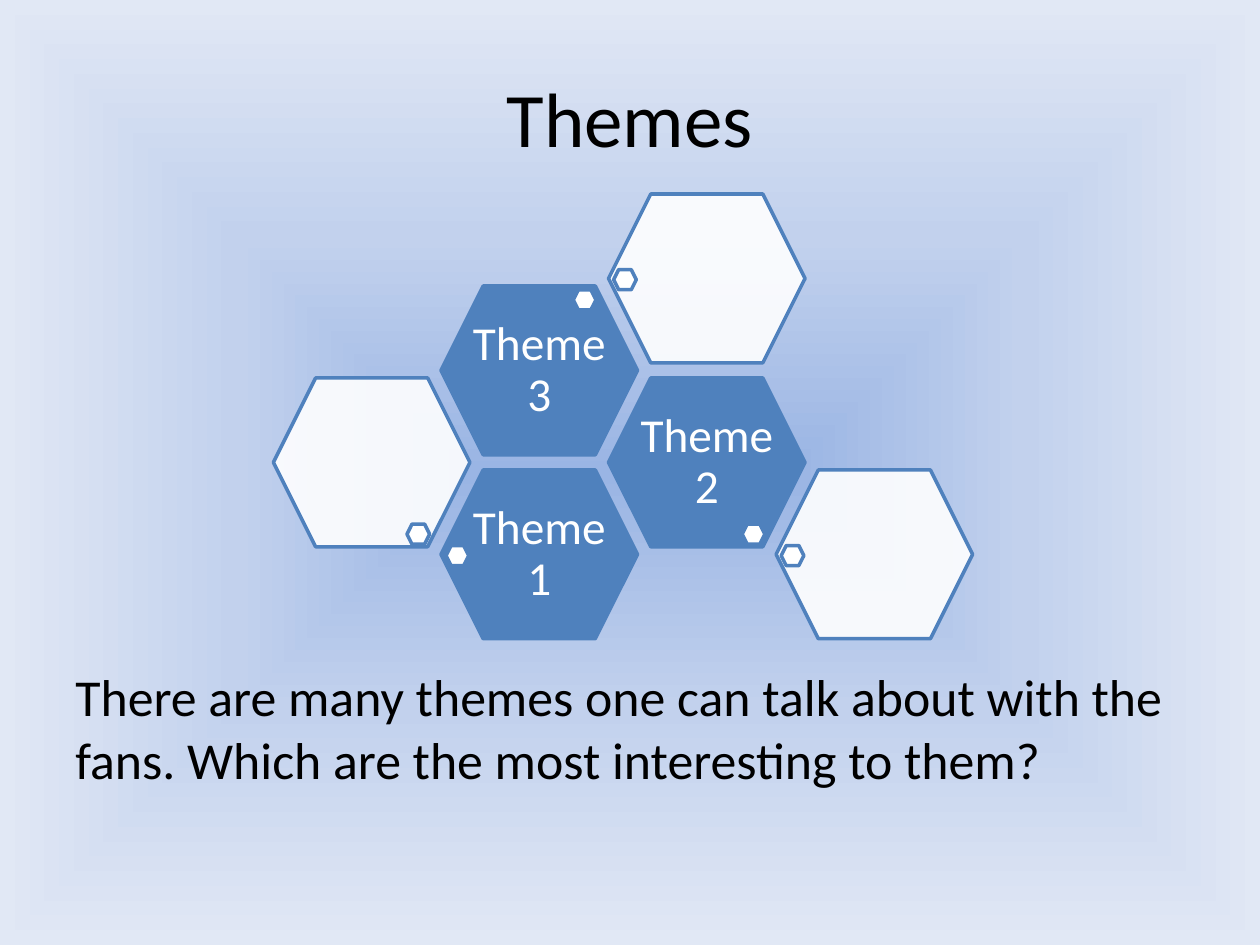
import pptx
import pptx.dml.color
import pptx.enum.shapes
import pptx.enum.text
import pptx.oxml
import pptx.oxml.ns
import pptx.util

RGBColor = pptx.dml.color.RGBColor
BLUE = RGBColor(0x4F, 0x81, 0xBD)
WHITE = RGBColor(0xFF, 0xFF, 0xFF)
BLACK = RGBColor(0x00, 0x00, 0x00)
BACKGROUND_STOPS = [
    (0, RGBColor(0x9A, 0xB5, 0xE4)),
    (50, RGBColor(0xC2, 0xD1, 0xED)),
    (100, RGBColor(0xE1, 0xE8, 0xF5)),
]

SLIDE_W, SLIDE_H = 10, 7.5
# Honeycomb: columns are one pitch apart, rows half a hexagon apart.
COMB_LEFT, COMB_TOP = 2.17, 1.54
COL_PITCH, ROW_PITCH = 1.33, 0.73
HEX_W, HEX_H = 1.56, 1.34
LABEL_W, LABEL_H = 1.07, 0.93
DOT_W, DOT_H = 0.18, 0.16
DOT_SITES = {"left": (0.04, 0.6), "top": (1.05, 0.03), "bottom": (1.06, 1.16)}

# column, row, label, site of the small hexagon
CELLS = [
    (1, 3, "Theme 1", "left"),
    (0, 2, None, "bottom"),
    (2, 2, "Theme 2", "bottom"),
    (3, 3, None, "left"),
    (1, 1, "Theme 3", "top"),
    (2, 0, None, "left"),
]


class ThemeSlide:
    font = "Calibri"
    line_width = pptx.util.Pt(2)

    def __init__(self, prs):
        self.s = prs.slides.add_slide(prs.slide_layouts[5])
        self.comb = None

    def box(self, x, y, w, h):
        return [pptx.util.Inches(v) for v in (x, y, w, h)]

    def background(self, stops):
        """Fill the slide with a gradient that spreads from its centre."""
        gs = "".join(f'<a:gs pos="{pos * 1000}"><a:srgbClr val="{color}"/></a:gs>'
                     for pos, color in stops)
        bg = pptx.oxml.parse_xml(
            f'<p:bg {pptx.oxml.ns.nsdecls("p", "a")}><p:bgPr>'
            f'<a:gradFill rotWithShape="1"><a:gsLst>{gs}</a:gsLst><a:path path="shape">'
            '<a:fillToRect l="50000" t="50000" r="50000" b="50000"/></a:path></a:gradFill>'
            '<a:effectLst/></p:bgPr></p:bg>')
        self.s.element.cSld.insert(0, bg)

    def set_text(self, sp, text, size, color, align, anchor):
        tf = sp.text_frame
        tf.text = text
        tf.word_wrap = True
        tf.vertical_anchor = anchor
        p = tf.paragraphs[0]
        p.alignment = align
        font = p.runs[0].font
        font.name, font.size = self.font, pptx.util.Pt(size)
        font.color.rgb = color
        return tf

    def title(self, text, x, y, w, h):
        sp = self.s.shapes.title
        sp.left, sp.top, sp.width, sp.height = self.box(x, y, w, h)
        self.set_text(sp, text, 44, BLACK, pptx.enum.text.PP_ALIGN.CENTER,
                      pptx.enum.text.MSO_ANCHOR.MIDDLE)

    def body(self, text, x, y, w, h):
        sp = self.s.shapes.add_textbox(*self.box(x, y, w, h))
        tf = self.set_text(sp, text, 29.6, BLACK, pptx.enum.text.PP_ALIGN.LEFT,
                           pptx.enum.text.MSO_ANCHOR.TOP)
        tf.paragraphs[0].space_before = pptx.util.Pt(6)

    def hexagon(self, x, y, w, h, fill, opacity=100):
        sp = self.comb.shapes.add_shape(pptx.enum.shapes.MSO_SHAPE.HEXAGON,
                                        *self.box(x, y, w, h))
        sp.adjustments[0] = 0.25
        sp.shadow.inherit = False
        sp.fill.solid()
        sp.fill.fore_color.rgb = fill
        sp.line.color.rgb = BLUE
        sp.line.width = self.line_width
        if opacity < 100:
            color = sp.element.spPr.find(
                f'{pptx.oxml.ns.qn("a:solidFill")}/{pptx.oxml.ns.qn("a:srgbClr")}')
            alpha = color.makeelement(pptx.oxml.ns.qn("a:alpha"),
                                      {"val": str(opacity * 1000)})
            color.append(alpha)

    def label(self, text, x, y, w, h):
        sp = self.comb.shapes.add_textbox(*self.box(x, y, w, h))
        tf = self.set_text(sp, text, 27, WHITE, pptx.enum.text.PP_ALIGN.CENTER,
                           pptx.enum.text.MSO_ANCHOR.MIDDLE)
        tf.margin_left = tf.margin_right = 0
        tf.margin_top = tf.margin_bottom = pptx.util.Inches(0.04)
        tf.paragraphs[0].line_spacing = 0.9

    def honeycomb(self, cells):
        self.comb = self.s.shapes.add_group_shape()
        for col, row, text, site in cells:
            x, y = COMB_LEFT + col * COL_PITCH, COMB_TOP + row * ROW_PITCH
            if text:
                self.hexagon(x, y, HEX_W, HEX_H, BLUE)
                self.label(text, x + (HEX_W - LABEL_W) / 2, y + (HEX_H - LABEL_H) / 2,
                           LABEL_W, LABEL_H)
            else:
                self.hexagon(x, y, HEX_W, HEX_H, WHITE, opacity=90)
            dx, dy = DOT_SITES[site]
            self.hexagon(x + dx, y + dy, DOT_W, DOT_H, WHITE)


def main():
    prs = pptx.Presentation()
    prs.slide_width = pptx.util.Inches(SLIDE_W)
    prs.slide_height = pptx.util.Inches(SLIDE_H)
    margin = 0.05 * SLIDE_W
    width = SLIDE_W - 2 * margin

    slide = ThemeSlide(prs)
    slide.background(BACKGROUND_STOPS)
    slide.body("There are many themes one can talk about with the fans. "
               "Which are the most interesting to them?", margin, 5.23, width, 1.47)
    slide.title("Themes", margin, 0.04 * SLIDE_H, width, 1.25)
    slide.honeycomb(CELLS)
    prs.save("out.pptx")


if __name__ == "__main__":
    main()
